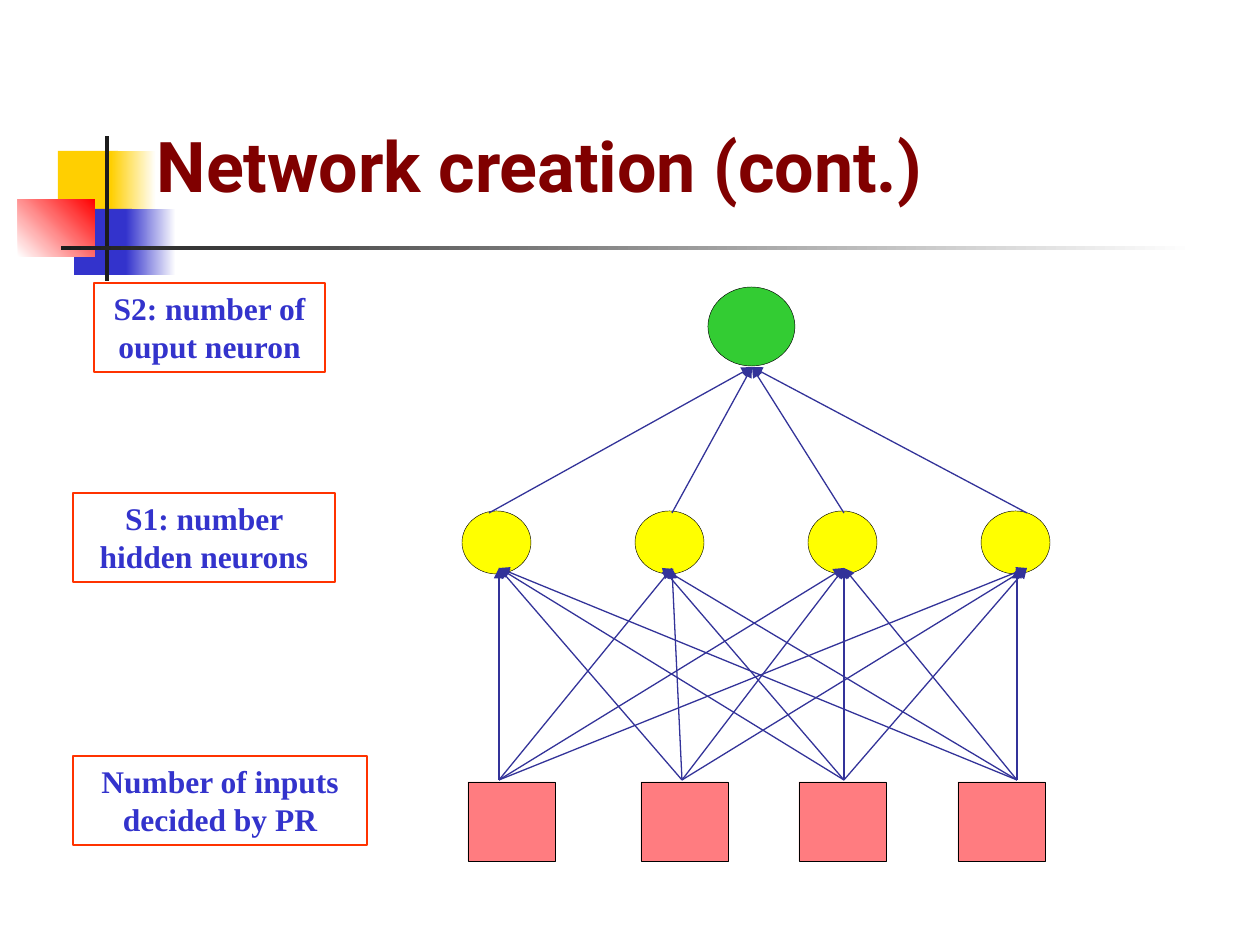
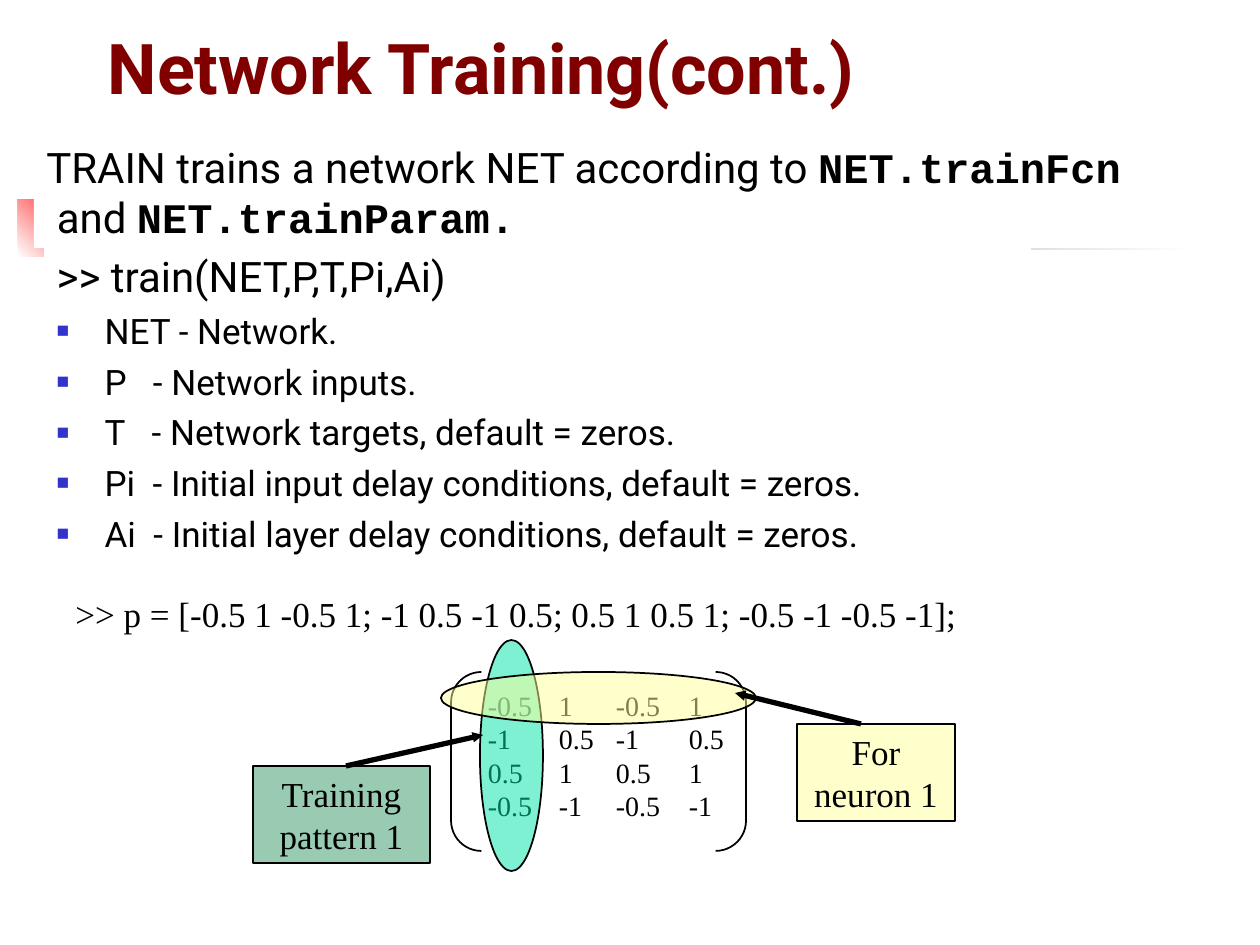
from lxml.etree import SubElement
from pptx import Presentation
from pptx.dml.color import RGBColor
from pptx.enum.shapes import MSO_CONNECTOR, MSO_SHAPE as SHAPE
from pptx.enum.text import MSO_ANCHOR, MSO_AUTO_SIZE, PP_ALIGN as ALIGN
from pptx.oxml.ns import qn
from pptx.util import Pt

SCALE = 914400 / 126
SANS, SERIF, MONO = "Roboto", "Times New Roman", "Courier New"
BLACK, WHITE, INK = "000000", "FFFFFF", "1C1C1C"
BLUE, MAROON, ARROW = "3333CC", "800000", "333399"
YELLOW, RED, ORANGE = "FFCF01", "FF0000", "FF3300"
GREEN, LEMON, PINK = "33CC33", "FFFF00", "FF7C80"
AQUA, CREAM, SAGE = "00E4A8", "FFFF99", "339966"


def emu(*lengths):
    """Turn px lengths into EMU."""
    return [round(n * SCALE) for n in lengths]


def rgb(color):
    """Turn a hex string into a colour."""
    return RGBColor.from_string(color)


def paint(sp, fill=None, line=None, width=1, alpha=None):
    """Set the fill, transparency and outline of a shape."""
    if fill:
        sp.fill.solid()
        sp.fill.fore_color.rgb = rgb(fill)
        if alpha:
            clr = sp.fill._xPr.find(".//" + qn("a:srgbClr"))
            SubElement(clr, qn("a:alpha"), val=str(alpha * 1000))
    else:
        sp.fill.background()
    if line:
        sp.line.color.rgb = rgb(line)
        sp.line.width = Pt(width)
    else:
        sp.line.fill.background()


def add_box(s, kind, box, **style):
    """Add a painted preset shape at a px box."""
    sp = s.shapes.add_shape(kind, *emu(*box))
    sp.shadow.inherit = False
    paint(sp, **style)
    return sp


def add_arrow(s, start, end, color, width, size="med"):
    """Add a straight connector with a triangle at its end."""
    c = s.shapes.add_connector(MSO_CONNECTOR.STRAIGHT, *emu(*start, *end))
    c.line.color.rgb = rgb(color)
    c.line.width = Pt(width)
    SubElement(c.line._get_or_add_ln(), qn("a:tailEnd"), type="triangle", w=size, len=size)
    SubElement(c.element.spPr, qn("a:effectLst"))


def add_run(p, text, size, font=SANS, color=BLACK, bold=False, spacing=0):
    """Add one formatted run, with letter spacing in points."""
    r = p.add_run()
    r.text = text
    r.font.size = Pt(size)
    r.font.name = font
    r.font.bold = bold
    r.font.color.rgb = rgb(color)
    if spacing:
        r._r.get_or_add_rPr().set("spc", str(spacing * 100))


def setup_frame(sp, anchor=MSO_ANCHOR.TOP):
    """Prepare a wrapping text frame that keeps its size."""
    tf = sp.text_frame
    tf.word_wrap = True
    tf.auto_size = MSO_AUTO_SIZE.NONE
    tf.vertical_anchor = anchor
    return tf


def add_par(tf, size, align=ALIGN.LEFT, before=0):
    """Return the first free paragraph, spaced at 1.2 times the size."""
    p = tf.paragraphs[0]
    if p.runs:
        p = tf.add_paragraph()
    p.alignment = align
    p.space_before = Pt(before)
    p.line_spacing = Pt(1.2 * size)
    return p


def set_title(s, text, box):
    """Move and fill the title placeholder."""
    sp = s.shapes.title
    sp.left, sp.top, sp.width, sp.height = emu(*box)
    p = add_par(setup_frame(sp, MSO_ANCHOR.BOTTOM), 40)
    add_run(p, text, 40, color=MAROON, bold=True)


def add_label(s, text, box, size, color=BLACK, bold=False, **style):
    """Add a framed label with centred text."""
    sp = add_box(s, SHAPE.RECTANGLE, box, **style)
    add_run(add_par(setup_frame(sp), size, ALIGN.CENTER), text, size, SERIF, color, bold)


def add_master_motif(prs, s, x, y):
    """Draw the coloured squares and rules, then move them to the master."""
    parts = [
        ((40, 15, 60, 66), YELLOW, None, 0),
        ((93, 15, 45, 66), YELLOW, WHITE, 0),
        ((56, 73, 58, 66), BLUE, None, 0),
        ((108, 73, 50, 66), BLUE, WHITE, 0),
        ((0, 63, 77, 58), WHITE, RED, 45),
        ((87, 0, 4, 145), INK, None, 0),
        ((43, 110, 1134, 4), INK, WHITE, 0),
    ]
    for number, ((dx, dy, w, h), first, last, angle) in enumerate(parts, 101):
        sp = add_box(s, SHAPE.RECTANGLE, (x + dx, y + dy, w, h), fill=first)
        if last:
            sp.fill.gradient()
            sp.fill.gradient_angle = angle
            for stop, color in zip(sp.fill.gradient_stops, (first, last)):
                stop.color.rgb = rgb(color)
        sp.element.nvSpPr.cNvPr.id = number
        prs.slide_master.shapes.element.append(sp.element)


def add_network(s, x, y):
    """Draw the output, hidden and input layers with their links."""
    add_box(s, SHAPE.OVAL, (x + 246, y, 87, 79), fill=GREEN, line=BLACK, width=0.25)
    for i in range(4):
        add_box(s, SHAPE.OVAL, (x + 173 * i, y + 224, 69, 63), fill=LEMON, line=BLACK, width=0.25)
    for dx in (6, 179, 337, 496):
        add_box(s, SHAPE.RECTANGLE, (x + dx, y + 495, 87, 79), fill=PINK, line=BLACK, width=0.25)
    links = {
        37: (37, 210, 382, 565),
        220: (37, 210, 382, 565),
        382: (37, 200, 382, 565),
        555: (37, 200, 382, 555),
    }
    for start, ends in links.items():
        for end in ends:
            add_arrow(s, (x + start, y + 493), (x + end, y + 281), ARROW, 0.75)
    for dx in (27, 210, 382, 565):
        add_arrow(s, (x + dx, y + 226), (x + 290, y + 80), ARROW, 0.75)


def add_layer_labels(s, x, y):
    """Name the three layers beside the network."""
    labels = [
        ("Number of inputs decided by PR", 0, 473, 294),
        ("S1: number hidden neurons", 0, 210, 262),
        ("S2: number of ouput neuron", 21, 0, 231),
    ]
    for text, dx, dy, w in labels:
        add_label(s, text, (x + dx, y + dy, w, 89), 18, BLUE, True, line=ORANGE)


def set_arguments(s, box):
    """Fill the body placeholder with the call and its arguments."""
    sp = s.placeholders[1]
    sp.left, sp.top, sp.width, sp.height = emu(*box)
    paint(sp, fill=WHITE)
    tf = setup_frame(sp)
    arguments = [
        ("NET", 0, "- Network."),
        ("P", 10, "- Network inputs."),
        ("T", 10, "- Network targets, default = zeros."),
        ("Pi", 5, "- Initial input delay conditions, default = zeros."),
        ("Ai", 5, "- Initial layer delay conditions, default = zeros."),
    ]
    p = add_par(tf, 24)
    add_run(p, ">> train(NET,P,T,Pi,Ai)", 24)
    SubElement(hang(p), qn("a:buNone"))
    for name, gap, meaning in arguments:
        p = add_par(tf, 20, before=5)
        add_run(p, name, 20)
        add_run(p, " ", 20, spacing=gap)
        add_run(p, meaning, 20)
        pPr = hang(p)
        SubElement(SubElement(pPr, qn("a:buClr")), qn("a:srgbClr"), val=BLUE)
        SubElement(pPr, qn("a:buSzPct"), val="60000")
        SubElement(pPr, qn("a:buChar"), char="■")


def hang(p):
    """Give a paragraph the list's hanging indent."""
    pPr = p._p.get_or_add_pPr()
    indent = emu(48)[0]
    pPr.set("marL", str(indent))
    pPr.set("indent", str(-indent))
    return pPr


def add_command(s, box):
    """Add the line that defines the input matrix."""
    p = add_par(setup_frame(s.shapes.add_textbox(*emu(*box))), 20)
    text = ">> p = [-0.5 1 -0.5 1; -1 0.5 -1 0.5; 0.5 1 0.5 1; -0.5 -1 -0.5 -1];"
    add_run(p, text, 20, SERIF)


def add_matrix(s, x, y):
    """Draw the bracketed matrix, its highlights and their callouts."""
    rows = [
        ("-0.5", "1", "-0.5", "1"),
        ("-1", "0.5", "-1", "0.5"),
        ("0.5", "1", "0.5", "1"),
        ("-0.5", "-1", "-0.5", "-1"),
    ]
    tf = setup_frame(s.shapes.add_textbox(*emu(x + 216, y + 42, 329, 147)))
    tf.margin_left = emu(19)[0]
    for row in rows:
        p = add_par(tf, 16)
        add_run(p, "\t".join(row), 16, SERIF)
        tabs = SubElement(p._p.get_or_add_pPr(), qn("a:tabLst"))
        for stop in emu(71, 128, 201):
            SubElement(tabs, qn("a:tab"), pos=str(stop), algn="l")
    brackets = add_box(s, SHAPE.DOUBLE_BRACKET, (x + 198, y + 32, 295, 179), line=BLACK)
    brackets.adjustments[0] = 0.17
    add_box(s, SHAPE.OVAL, (x + 227, y, 63, 231), fill=AQUA, line=BLACK, alpha=50)
    add_box(s, SHAPE.OVAL, (x + 188, y + 32, 315, 52), fill=CREAM, line=BLACK, alpha=50)
    callouts = [
        ("Training pattern 1", (x, y + 126, 177, 97), SAGE, (93, 126), (230, 95)),
        ("For neuron 1", (x + 544, y + 84, 158, 97), CREAM, (608, 84), (482, 53)),
    ]
    for text, box, fill, (x1, y1), (x2, y2) in callouts:
        add_label(s, text, box, 20, fill=fill, line=BLACK, alpha=50)
        add_arrow(s, (x + x1, y + y1), (x + x2, y + y2), BLACK, 3, "sm")


def add_summary(s, box):
    """Add the sentence that explains the train function."""
    tf = setup_frame(add_box(s, SHAPE.RECTANGLE, box, fill=WHITE))
    lines = [
        ("TRAIN trains a network NET according to ", "NET.trainFcn"),
        (" and ", "NET.trainParam."),
    ]
    for words, code in lines:
        p = add_par(tf, 24)
        add_run(p, words, 24)
        add_run(p, code, 24, MONO, bold=True)


def build_creation(prs):
    """Build the network creation slide."""
    s = prs.slides.add_slide(prs.slide_layouts[5])
    add_master_motif(prs, s, 18, 136)
    set_title(s, "Network creation (cont.)", (144, 66, 1074, 147))
    add_network(s, 462, 287)
    add_layer_labels(s, 73, 283)


def build_training(prs):
    """Build the network training slide."""
    s = prs.slides.add_slide(prs.slide_layouts[1])
    set_title(s, "Network Training(cont.)", (95, 42, 1071, 73))
    set_arguments(s, (44, 244, 987, 315))
    add_command(s, (63, 586, 924, 55))
    add_matrix(s, 253, 640)
    add_summary(s, (34, 135, 1207, 113))


def main():
    """Build and save the presentation."""
    prs = Presentation()
    prs.slide_width, prs.slide_height = emu(1260, 945)
    build_creation(prs)
    build_training(prs)
    prs.save("out.pptx")


if __name__ == "__main__":
    main()
